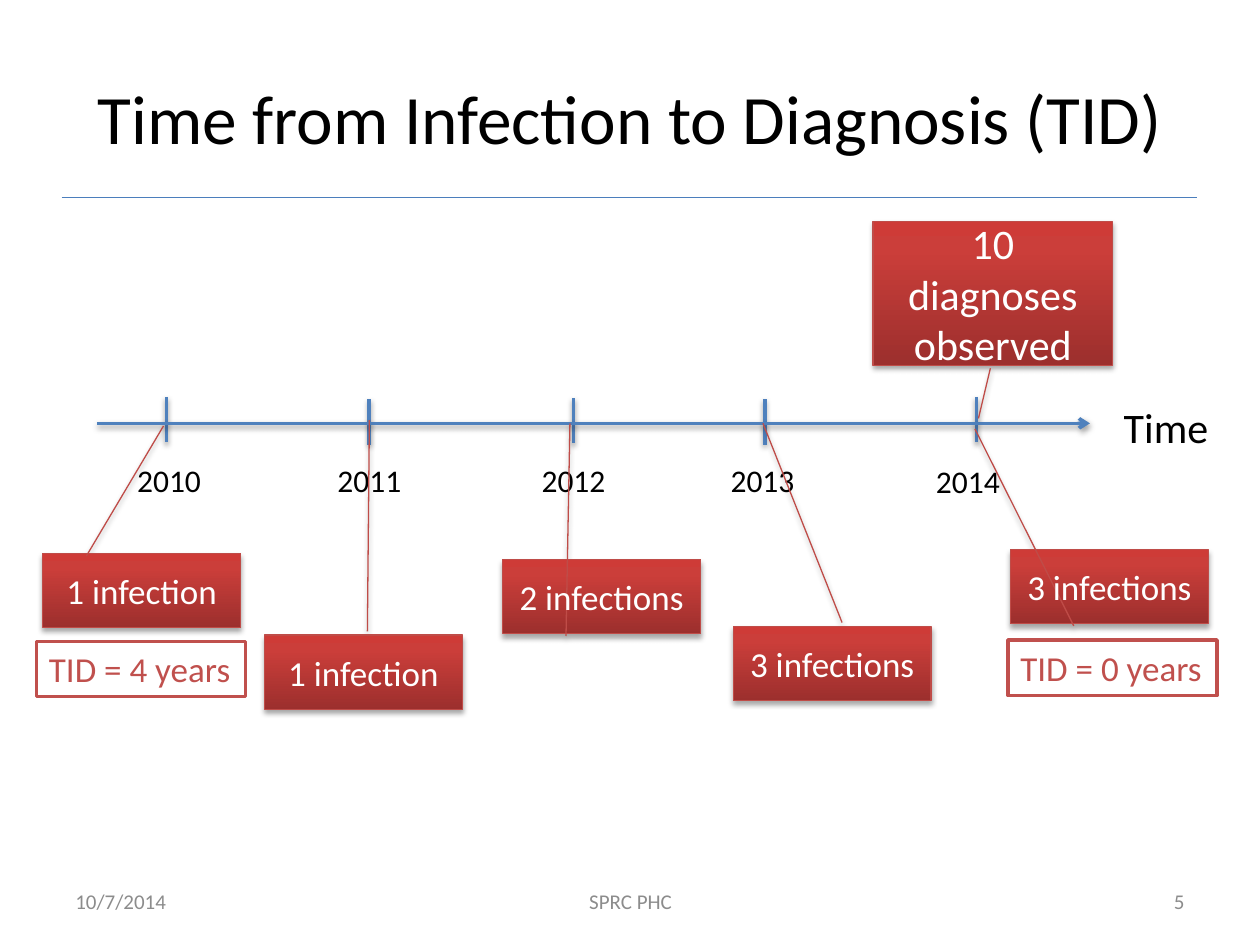
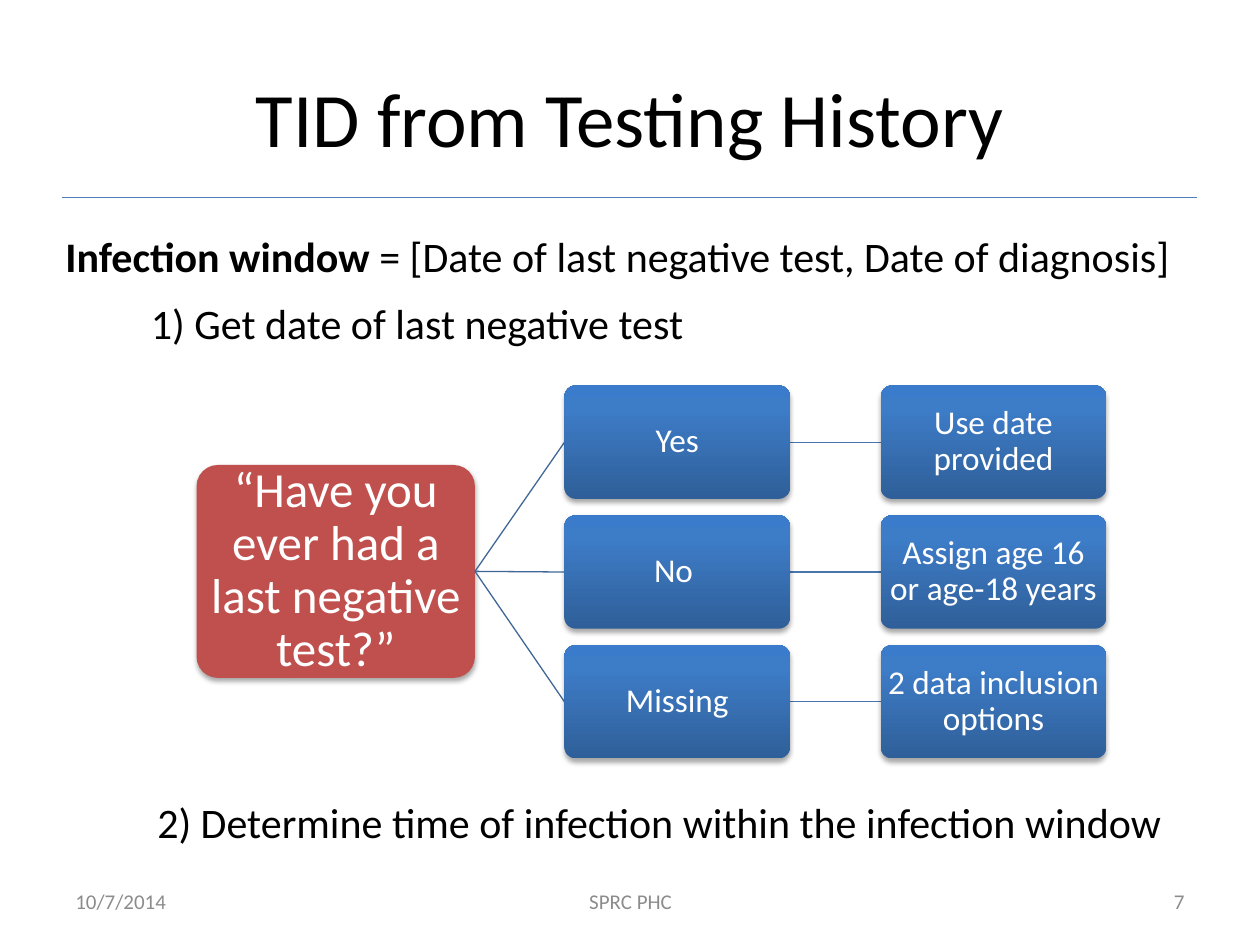
from pptx import Presentation
from pptx.dml.color import RGBColor
from pptx.enum.shapes import MSO_CONNECTOR, MSO_SHAPE
from pptx.enum.text import MSO_ANCHOR, PP_ALIGN
from pptx.oxml import parse_xml
from pptx.oxml.ns import nsdecls, qn
from pptx.util import Inches, Pt

# Shared look
FONT = "Calibri"
BLACK = RGBColor(0, 0, 0)
WHITE = RGBColor(0xFF, 0xFF, 0xFF)
GREY = RGBColor(0x8C, 0x8C, 0x8C)
RULE = RGBColor(0x4B, 0x7E, 0xBC)
BLUE = RGBColor(0x4F, 0x81, 0xBD)
RED = RGBColor(0xC0, 0x50, 0x4D)
RED_EDGE = RGBColor(0xBF, 0x4C, 0x48)
BRANCH = RGBColor(0x3F, 0x67, 0x97)
LINK = RGBColor(0x48, 0x75, 0xAC)
RED_GRADIENT = ((0, "9C2F2D"), (80, "CB3E3A"), (100, "CE3B37"))
BLUE_GRADIENT = ((0, "2F5F99"), (80, "3D7CC7"), (100, "3A7CCB"))
LEFT, CENTER, RIGHT = PP_ALIGN.LEFT, PP_ALIGN.CENTER, PP_ALIGN.RIGHT

# Footer parts: text (None for the slide number), left, width, alignment
FOOTER = [("10/7/2014", 0.5, 2.33, LEFT),
          ("SPRC PHC", 3.42, 3.17, CENTER),
          (None, 7.17, 2.33, RIGHT)]

# Timeline: year, tick x, tick top, label left, label top
AXIS_Y, TICK_HEIGHT = 3.36, 0.36
YEARS = [("2010", 1.32, 3.15, 0.99, 3.61),
         ("2011", 2.93, 3.17, 2.58, 3.61),
         ("2012", 4.55, 3.16, 4.2, 3.61),
         ("2013", 6.07, 3.17, 5.7, 3.61),
         ("2014", 7.75, 3.15, 7.33, 3.62)]

# Callouts: text, size, box, leader start and end (y, x as box fractions)
INFECTION_SIZE = (1.57, 0.59)
CALLOUTS = [
    ("10 diagnoses observed", 24, (6.93, 1.76, 1.9, 1.14), (1.02, 0.49, 1.37, 0.44)),
    ("1 infection", 20, (0.34, 4.39, *INFECTION_SIZE), (0.04, 0.22, -1.71, 0.61)),
    ("1 infection", 20, (2.1, 5.04, *INFECTION_SIZE), (-0.05, 0.52, -2.89, 0.53)),
    ("2 infections", 20, (3.99, 4.44, *INFECTION_SIZE), (1.03, 0.32, -1.83, 0.34)),
    ("3 infections", 20, (5.82, 4.97, *INFECTION_SIZE), (-0.05, 0.55, -2.73, 0.15)),
    ("3 infections", 20, (8.02, 4.36, *INFECTION_SIZE), (1.03, 0.32, -1.62, -0.18)),
]
DELAYS = [("TID = 4 years", 0.29, 5.09), ("TID = 0 years", 8, 5.08)]

# Decision tree
QUESTION = "\u201cHave you ever had a last negative test?\u201d"
ANSWERS = [("Yes", "Use date provided"),
           ("No ", "Assign age 16 or age-18 years"),
           ("Missing", "2 data inclusion options")]
QUESTION_BOX = (1.56, 3.69, 2.21, 1.69)
ANSWER_X, ACTION_X, TREE_TOP, ROW_STEP = 4.48, 6.99, 3.06, 1.03
NODE_W, NODE_H = 1.79, 0.9

# Statements: runs as (text, bold), then box
STATEMENTS = [
    ([("Infection window ", True),
      ("= [Date of last negative test, Date of diagnosis]", False)],
     (0.42, 1.78, 9.09, 0.5)),
    ([("1) Get date of last negative test", False)], (1.1, 2.31, 4.5, 0.5)),
    ([("2) Determine time of infection within the infection window", False)],
     (1.15, 6.27, 8.28, 0.5)),
]


def inches(box):
    return [Inches(v) for v in box]


def style_run(r, size, color, bold=False):
    r.font.name, r.font.size, r.font.bold = FONT, Pt(size), bold
    r.font.color.rgb = color


def write(s, runs, size, color, align=LEFT, anchor=MSO_ANCHOR.TOP, wrap=True):
    """Fill a shape with one paragraph; runs is a string or (text, bold) pairs."""
    tf = s.text_frame
    tf.word_wrap, tf.vertical_anchor = wrap, anchor
    p = tf.paragraphs[0]
    p.alignment = align
    for content, bold in [(runs, False)] if isinstance(runs, str) else runs:
        r = p.add_run()
        r.text = content
        style_run(r, size, color, bold)
    return p


def add_text(slide, box, runs, size, color=BLACK, **layout):
    return write(slide.shapes.add_textbox(*inches(box)), runs, size, color, **layout)


def set_effects(s, shadow=None):
    """Replace the theme effect by (alpha %, distance pt), or by none."""
    spPr = s._element.spPr
    for old in spPr.findall(qn("a:effectLst")):
        spPr.remove(old)
    inner = ""
    if shadow:
        alpha, dist = shadow
        inner = (f'<a:outerShdw blurRad="{Pt(3.1)}" dist="{Pt(dist)}" dir="5400000" '
                 f'rotWithShape="0"><a:srgbClr val="000000"><a:alpha val="{alpha * 1000}"/>'
                 '</a:srgbClr></a:outerShdw>')
    spPr.append(parse_xml(f'<a:effectLst {nsdecls("a")}>{inner}</a:effectLst>'))


def add_line(slide, x1, y1, x2, y2, color, width=0.75, shadow=None, arrow=False):
    s = slide.shapes.add_connector(MSO_CONNECTOR.STRAIGHT, *inches((x1, y1, x2, y2)))
    s.line.color.rgb, s.line.width = color, Pt(width)
    if arrow:
        s.line._get_or_add_ln().append(
            parse_xml(f'<a:tailEnd {nsdecls("a")} type="arrow"/>'))
    set_effects(s, shadow)


def add_box(slide, kind, box, fill, edge=None, width=0.75, shadow=(35, 1.8)):
    """Add a preset shape; fill is a colour or a tuple of gradient stops."""
    s = slide.shapes.add_shape(kind, *inches(box))
    if isinstance(fill, RGBColor):
        s.fill.solid()
        s.fill.fore_color.rgb = fill
    else:
        s.fill.gradient()
        s.fill.gradient_angle = 90
        stops = s._element.spPr.find(".//" + qn("a:gsLst"))
        for old in list(stops):
            stops.remove(old)
        for pos, color in fill:
            stops.append(parse_xml(f'<a:gs {nsdecls("a")} pos="{pos * 1000}">'
                                   f'<a:srgbClr val="{color}"/></a:gs>'))
    if edge is None:
        s.line.fill.background()
    else:
        s.line.color.rgb, s.line.width = edge, Pt(width)
    s.shadow.inherit = False
    set_effects(s, shadow)
    return s


def add_node(slide, box, label, size, fill, margin):
    s = add_box(slide, MSO_SHAPE.ROUNDED_RECTANGLE, box, fill)
    s.adjustments[0] = 0.1
    tf = s.text_frame
    tf.margin_left = tf.margin_right = tf.margin_top = tf.margin_bottom = Inches(margin)
    write(s, label, size, WHITE, CENTER, MSO_ANCHOR.MIDDLE).line_spacing = 0.9


def new_slide(prs, title, size, number):
    """Title, rule and footer shared by all slides."""
    slide = prs.slides.add_slide(prs.slide_layouts[5])
    add_line(slide, 0.49, 1.57, 9.5, 1.57, RULE)
    s = slide.shapes.title
    s.left, s.top, s.width, s.height = inches((0.5, 0.3, 9, 1.25))
    write(s, title, size, BLACK, CENTER, MSO_ANCHOR.MIDDLE)
    for label, left, width, align in FOOTER:
        add_text(slide, (left, 6.95, width, 0.4), label or str(number), 12, GREY,
                 align=align, anchor=MSO_ANCHOR.MIDDLE)
    return slide


prs = Presentation()
prs.slide_width, prs.slide_height = Inches(10), Inches(7.5)

# Slide 1: timeline with callouts
slide = new_slide(prs, "Time from Infection to Diagnosis (TID)", 39.6, 5)
for year, x, top, label_x, label_y in YEARS:
    add_line(slide, x, top, x, top + TICK_HEIGHT, BLUE, 2, (38, 1.6))
add_line(slide, 0.77, AXIS_Y, 8.65, AXIS_Y, BLUE, 2, (38, 1.6), arrow=True)
add_text(slide, (8.82, 3.14, 0.88, 0.37), "Time", 24, wrap=False)
for year, x, top, label_x, label_y in YEARS:
    add_text(slide, (label_x, label_y, 0.71, 0.3), year, 18, wrap=False)
for label, size, box, leader in CALLOUTS:
    s = add_box(slide, MSO_SHAPE.LINE_CALLOUT_1, box, RED_GRADIENT, RED_EDGE)
    for i, value in enumerate(leader):
        s.adjustments[i] = value
    write(s, label, size, WHITE, CENTER, MSO_ANCHOR.MIDDLE)
for label, left, top in DELAYS:
    s = add_box(slide, MSO_SHAPE.RECTANGLE, (left, top, 1.66, 0.44), WHITE, RED, 2, None)
    write(s, label, 20, RED, wrap=False)

# Slide 2: decision tree between the two steps
slide = new_slide(prs, "TID from Testing History", 44, 7)
q_left, q_top, q_width, q_height = QUESTION_BOX
q_right, q_middle = q_left + q_width, q_top + q_height / 2
add_node(slide, QUESTION_BOX, QUESTION, 28, RED, 0.02)
for i, (answer, action) in enumerate(ANSWERS):
    top = TREE_TOP + i * ROW_STEP
    middle = top + NODE_H / 2
    add_line(slide, q_right, q_middle, ANSWER_X, middle, BRANCH)
    add_line(slide, ANSWER_X + NODE_W, middle, ACTION_X, middle, LINK)
    for left, label in ((ANSWER_X, answer), (ACTION_X, action)):
        add_node(slide, (left, top, NODE_W, NODE_H), label, 19, BLUE_GRADIENT, 0.01)
for runs, box in STATEMENTS:
    add_text(slide, box, runs, 24, wrap=False)

prs.save("out.pptx")
